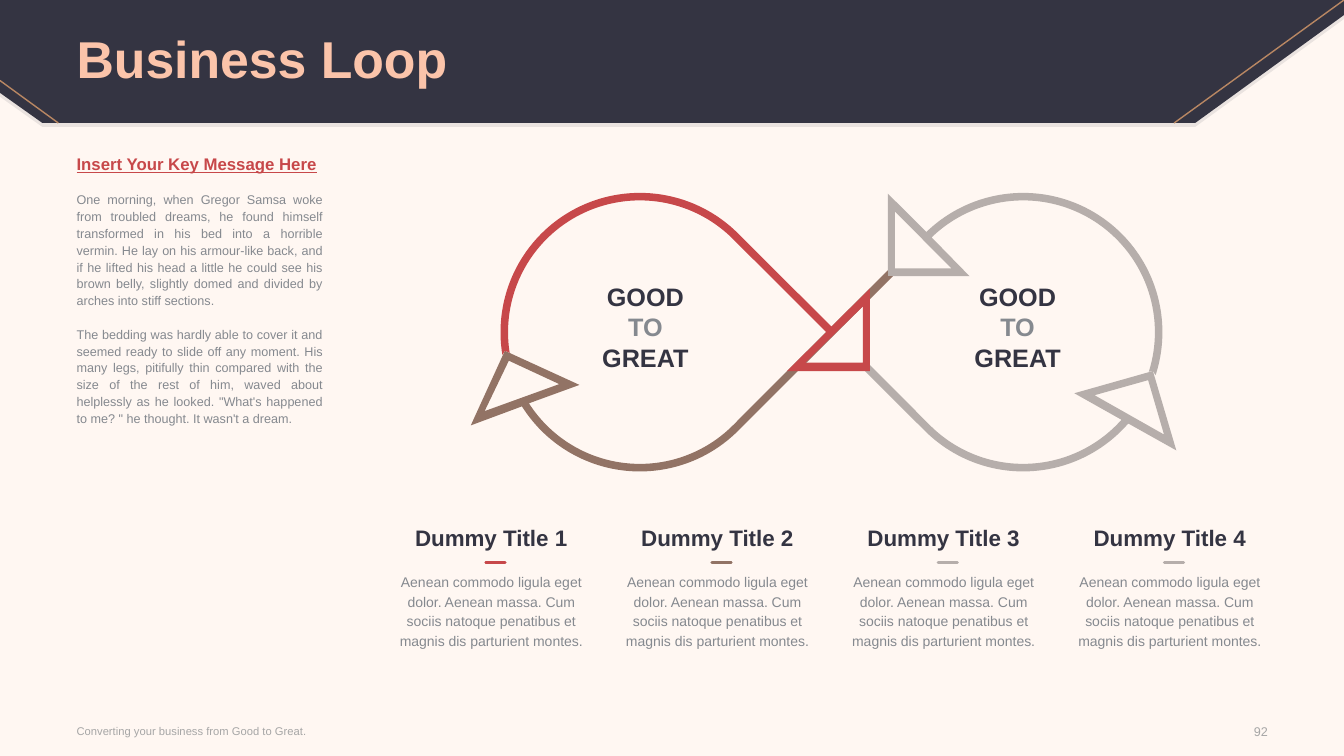
from math import ceil, cos, radians, sin, tan

from lxml import etree
from pptx import Presentation
from pptx.dml.color import RGBColor
from pptx.enum.shapes import MSO_CONNECTOR
from pptx.enum.text import MSO_ANCHOR, MSO_AUTO_SIZE, PP_ALIGN
from pptx.oxml.ns import qn
from pptx.util import Cm, Pt

STRAIGHT = MSO_CONNECTOR.STRAIGHT
TOP, MIDDLE = MSO_ANCHOR.TOP, MSO_ANCHOR.MIDDLE
NO_FIT = MSO_AUTO_SIZE.NONE
LEFT, CENTER, RIGHT, JUSTIFY = PP_ALIGN.LEFT, PP_ALIGN.CENTER, PP_ALIGN.RIGHT, PP_ALIGN.JUSTIFY

CREAM = RGBColor(0xFF, 0xF7, 0xF2)
NAVY = RGBColor(0x34, 0x34, 0x42)
PEACH = RGBColor(0xFB, 0xC4, 0xAA)
BRONZE = RGBColor(0xB9, 0x87, 0x63)
RED = RGBColor(0xC7, 0x48, 0x4A)
BROWN = RGBColor(0x92, 0x73, 0x65)
STONE = RGBColor(0xB6, 0xAE, 0xAB)
GRAY = RGBColor(0x85, 0x89, 0x8F)
PALE = RGBColor(0xA6, 0xA6, 0xA6)

FONT = "Arial"
WIDTH, HEIGHT = 33.87, 19.05
OUTER, INNER, CENTRE = 3.51, 3.32, 4.83

STORY = [
    "One morning, when Gregor Samsa woke from troubled dreams, he found himself transformed in his bed "
    "into a horrible vermin. He lay on his armour-like back, and if he lifted his head a little he could "
    "see his brown belly, slightly domed and divided by arches into stiff sections.",
    "The bedding was hardly able to cover it and seemed ready to slide off any moment. His many legs, "
    "pitifully thin compared with the size of the rest of him, waved about helplessly as he looked. "
    "\"What's happened to me? \" he thought. It wasn't a dream.",
]
COLUMN_TEXT = ("Aenean commodo ligula eget dolor. Aenean massa. Cum sociis natoque penatibus et "
               "magnis dis parturient montes.")


def place(sp, box, anchor=TOP):
    """Move a text shape to its box and return its frame without insets."""
    sp.left, sp.top, sp.width, sp.height = map(Cm, box)
    tf = sp.text_frame
    tf.word_wrap = True
    tf.auto_size = NO_FIT
    tf.vertical_anchor = anchor
    tf.margin_left = tf.margin_right = tf.margin_top = tf.margin_bottom = 0
    return tf


def write(tf, text, size, color, align=LEFT, bold=False, spacing=None, before=0, first=True):
    """Write one paragraph into a frame and return its run."""
    p = tf.paragraphs[0] if first else tf.add_paragraph()
    p.alignment = align
    p.space_before = Pt(before)
    if spacing:
        p.line_spacing = spacing
    r = p.add_run()
    r.text = text
    r.font.name, r.font.size, r.font.bold = FONT, Pt(size), bold
    r.font.color.rgb = color
    return r


def label(s, box, text, size, color, anchor=TOP, **style):
    """Add a text box with a single paragraph."""
    tf = place(s.shapes.add_textbox(0, 0, 0, 0), box, anchor)
    write(tf, text, size, color, **style)


def line(s, x1, y1, x2, y2, color, width, cap="flat"):
    """Add a straight line without shadow."""
    c = s.shapes.add_connector(STRAIGHT, Cm(x1), Cm(y1), Cm(x2), Cm(y2))
    c.line.color.rgb = color
    c.line.width = Pt(width)
    c.line._get_or_add_ln().set("cap", cap)
    etree.SubElement(c.element.spPr, qn("a:effectLst"))


def outline(s, x, y, color, *contours):
    """Add a filled freeform of points and cubic triples relative to x, y."""
    fb, nodes = None, []
    for contour in contours:
        start, *rest = [[(Cm(x + n[i]), Cm(y + n[i + 1])) for i in range(0, len(n), 2)] for n in contour]
        if fb is None:
            fb = s.shapes.build_freeform(*start[0], scale=1.0)
        else:
            fb.move_to(*start[0])
        fb.add_line_segments([point for node in rest for point in node], close=True)
        nodes += rest
    sp = fb.convert_to_shape()
    segments = iter(list(sp.element.iter(qn("a:lnTo"))))
    for node in nodes:
        curve = next(segments)
        if len(node) == 3:
            curve.tag = qn("a:cubicBezTo")
            for extra in (next(segments), next(segments)):
                curve.append(extra[0])
                extra.getparent().remove(extra)
    sp.shadow.inherit = False
    sp.fill.solid()
    sp.fill.fore_color.rgb = color
    sp.line.fill.background()
    return sp


def banner(s, box):
    """Draw the header band with its soft edge, corner lines and title."""
    x, y, w, h = box
    edge = [(w - 3.75, h), (1.07, h), (0, h - 0.76), (0, 0), (w, 0), (w, 0.38)]
    soft = outline(s, x, y + 0.1, NAVY, edge)
    tint = soft.element.spPr.find(qn("a:solidFill"))[0]
    etree.SubElement(tint, qn("a:alpha"), val="10000")
    outline(s, x, y, NAVY, edge)
    line(s, x + w, y, x + w - 4.28, y + h, BRONZE, 1)
    line(s, x, y + h - 1.07, x + 1.47, y + h, BRONZE, 1)
    title = s.shapes.title
    s.shapes.element.append(title.element)
    tf = place(title, (x + 1.93, y + 0.08, 30, 2.97), MIDDLE)
    write(tf, "Business Loop", 37, PEACH, bold=True, spacing=0.9)


def message(s, box):
    """Fill the body placeholder with the key message and the story."""
    body = s.placeholders[1]
    s.shapes.element.append(body.element)
    tf = place(body, box)
    r = write(tf, "Insert Your Key Message Here", 12, RED, JUSTIFY, True, Pt(12))
    r.font.underline = True
    for text in STORY:
        write(tf, text, 9, GRAY, JUSTIFY, False, Pt(12), before=12, first=False)
    for p in tf.paragraphs:
        pPr = p._p.get_or_add_pPr()
        pPr.set("marL", "0")
        pPr.set("indent", "0")
        etree.SubElement(pPr, qn("a:buNone"))


def arc(cx, radius, start, end):
    """Return a start point and cubic triples on a circle, angles clockwise."""
    count = ceil(abs(end - start) / 60)
    step = radians(end - start) / count
    k = 4 / 3 * tan(step / 4)
    nodes = [(cx + radius * cos(radians(start)), radius * sin(radians(start)))]
    for i in range(count):
        a = radians(start) + i * step
        b = a + step
        nodes.append((cx + radius * (cos(a) - k * sin(a)), radius * (sin(a) + k * cos(a)),
                      cx + radius * (cos(b) + k * sin(b)), radius * (sin(b) - k * cos(b)),
                      cx + radius * cos(b), radius * sin(b)))
    return nodes


def loop(s, box):
    """Draw the four arrows of the loop around the box centre and the words inside."""
    x, y, w, h = box
    mx, my = x + w / 2, y + h / 2
    west, east = -CENTRE, CENTRE
    outline(s, mx, my, STONE,
            [(8.1, 0.98), (6.12, 1.54), *arc(east, INNER, 41.7, 135),
             (0.97, 0.83), (0.97, 0.98), (0.84, 0.98), *arc(east, OUTER, 135, 41), (8.69, 2.98)],
            [(6.63, 1.59), (7.98, 1.21), (8.38, 2.58)])
    outline(s, mx, my, STONE,
            [*arc(east, OUTER, 378, 226), (1.42, -3.49), (1.42, -1.41), (3.48, -1.41),
             *arc(east, INNER, 226, 377.5), (8.1, 0.98)],
            [(3.02, -1.61), (1.6, -1.61), (1.6, -3.04)])
    outline(s, mx, my, BROWN,
            [(1.42, -1.41), (1.42, -1.56), *arc(west, INNER, 45, 147.3), (-6.35, 1.33),
             (-8.23, 0.47), (-9.09, 2.35), *arc(west, OUTER, 147.8, 45), (1.55, -1.41)],
            [(-8.74, 1.99), (-8.13, 0.72), (-6.86, 1.31)])
    outline(s, mx, my, RED,
            [(0, -0.14), *arc(west, OUTER, 315, 170.6), (-8.23, 0.47), (-8.1, 0.52),
             *arc(west, INNER, 171, 315), (-0.13, 0), (-1.12, 0.98), (0.97, 0.98), (0.97, -1.1)],
            [(0.79, 0.77), (-0.66, 0.77), (0.79, -0.65)])
    for cx in (mx - 4.69, mx + 4.69):
        tf = place(s.shapes.add_textbox(0, 0, 0, 0), (cx - 2.68, my - 1.28, 5.36, 2.51))
        for i, (word, color) in enumerate([("GOOD", NAVY), ("TO", GRAY), ("GREAT", NAVY)]):
            write(tf, word, 18, color, CENTER, True, first=i == 0)


def columns(s, box):
    """Lay out the four titled columns at an equal pitch."""
    x, y, w, h = box
    width = 4.9
    pitch = (w - width) / 3
    for i, color in enumerate((RED, BROWN, STONE, STONE)):
        left = x + i * pitch
        dash = left + 2.31
        label(s, (left, y + 1.18, width, h - 1.18), COLUMN_TEXT, 10, GRAY, align=CENTER, spacing=Pt(14))
        line(s, dash, y + 0.97, dash + 0.49, y + 0.97, color, 2, "rnd")
        label(s, (left, y, width, 0.69), f"Dummy Title {i + 1}", 16, NAVY, align=CENTER, bold=True)


def footer(s, box):
    """Write the footer line and the page number."""
    x, y, w, h = box
    label(s, (x, y, 13.28, h), "Converting your business from Good to Great.", 8, PALE, MIDDLE)
    label(s, (x + w - 1.6, y + 0.03, 1.6, h), "92", 9, PALE, MIDDLE, align=RIGHT)


def main():
    """Build the slide and save it."""
    prs = Presentation()
    prs.slide_width, prs.slide_height = Cm(WIDTH), Cm(HEIGHT)
    s = prs.slides.add_slide(prs.slide_layouts[1])
    s.background.fill.solid()
    s.background.fill.fore_color.rgb = CREAM
    banner(s, (0, 0, WIDTH, 3.1))
    message(s, (1.93, 3.96, 6.2, 13.18))
    footer(s, (1.93, 18.08, 30.02, 0.66))
    columns(s, (9.93, 13.2, 22, 3.19))
    loop(s, (11.86, 4.52, 18.19, 7.7))
    prs.save("out.pptx")


if __name__ == "__main__":
    main()
